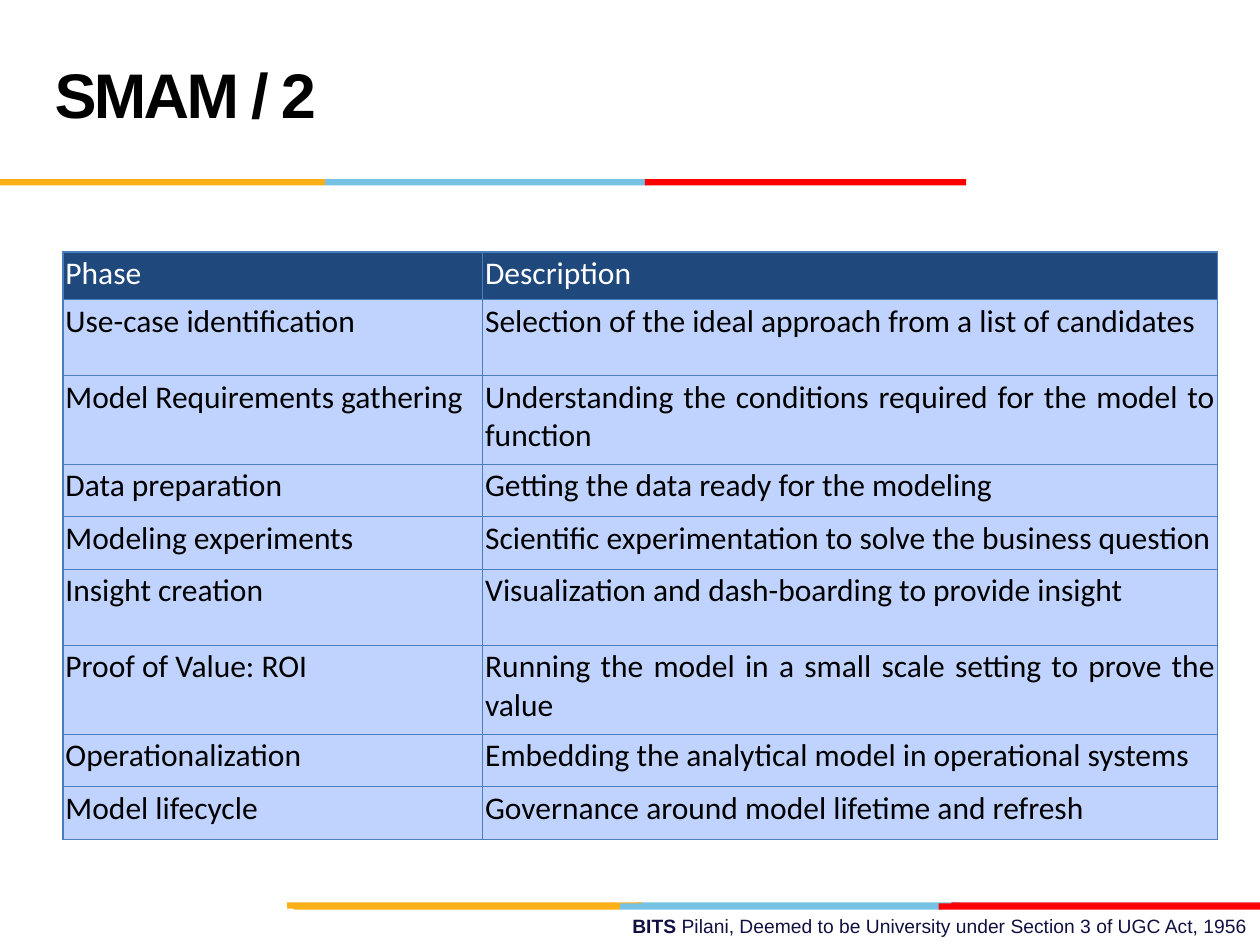
"""Build the SMAM phases slide with its table and colour bars."""
import lxml.etree
import pptx
import pptx.dml.color
import pptx.enum.shapes
import pptx.enum.text
import pptx.oxml.ns
import pptx.util
from pptx.util import Cm, Pt


def color(value):
    return pptx.dml.color.RGBColor.from_string(value)


def add_border(cell, side):
    properties = cell._tc.get_or_add_tcPr()
    line = lxml.etree.SubElement(properties, pptx.oxml.ns.qn(f"a:{side}"), w=str(Pt(0.75)))
    fill = lxml.etree.SubElement(line, pptx.oxml.ns.qn("a:solidFill"))
    lxml.etree.SubElement(fill, pptx.oxml.ns.qn("a:srgbClr"), val="4B7EBC")


ORANGE, BLUE, RED, CRIMSON = "FCB017", "76C2E5", "FF0000", "E31C24"
bars = [
    (12.85, 18.19, 6.48, BLUE),
    (19.18, 18.19, 6.22, CRIMSON),
    (5.79, 18.19, 7.16, ORANGE),
    (12.5, 18.21, 6.48, BLUE),
    (5.92, 18.21, 6.58, ORANGE),
    (18.92, 18.21, 6.48, RED),
    (6.55, 3.61, 6.48, BLUE),
    (0, 3.61, 6.55, ORANGE),
    (13, 3.61, 6.48, RED),
]
rows = [
    (0.96, "Phase", "Description"),
    (1.53, "Use-case identification", "Selection of the ideal approach from a list of candidates"),
    (1.79, "Model Requirements gathering", "Understanding the conditions required for the model to function"),
    (1.06, "Data preparation", "Getting the data ready for the modeling"),
    (1.06, "Modeling experiments", "Scientific experimentation to solve the business question"),
    (1.53, "Insight creation", "Visualization and dash-boarding to provide insight"),
    (1.79, "Proof of Value: ROI", "Running the model in a small scale setting to prove the value"),
    (1.06, "Operationalization", "Embedding the analytical model in operational systems"),
    (1.06, "Model lifecycle", "Governance around model lifetime and refresh"),
]

presentation = pptx.Presentation()
presentation.slide_width, presentation.slide_height = Cm(25.4), Cm(19.05)
slide = presentation.slides.add_slide(presentation.slide_layouts[6])

footer = slide.shapes.add_textbox(Cm(9.09), Cm(18.31), Cm(16.31), Cm(0.74))
footer.text_frame.word_wrap = True
footer.text_frame.auto_size = pptx.enum.text.MSO_AUTO_SIZE.SHAPE_TO_FIT_TEXT
paragraph = footer.text_frame.paragraphs[0]
paragraph.alignment = pptx.enum.text.PP_ALIGN.RIGHT
paragraph.font.name = "Arial"
paragraph.font.size = Pt(11)
paragraph.font.color.rgb = color("101141")
run = paragraph.add_run()
run.text = "BITS "
run.font.bold = True
paragraph.add_run().text = "Pilani, Deemed to be University under Section 3 of UGC Act, 1956"

for left, top, width, fill in bars:
    bar = slide.shapes.add_shape(
        pptx.enum.shapes.MSO_SHAPE.RECTANGLE, Cm(left), Cm(top), Cm(width), Cm(0.13))
    bar.shadow.inherit = False
    bar.fill.solid()
    bar.fill.fore_color.rgb = color(fill)
    bar.line.fill.background()

table = slide.shapes.add_table(
    len(rows), 2, Cm(1.27), Cm(5.08), Cm(23.28), Cm(11.84)).table
table.columns[0].width, table.columns[1].width = Cm(8.46), Cm(14.82)
for row_index, (height, *texts) in enumerate(rows):
    table.rows[row_index].height = Cm(height)
    header = row_index == 0
    for column_index, text in enumerate(texts):
        cell = table.cell(row_index, column_index)
        cell.margin_left = cell.margin_right = cell.margin_top = cell.margin_bottom = Cm(0.05)
        for side in ("lnL", "lnR", "lnT", "lnB"):
            add_border(cell, side)
        cell.fill.solid()
        cell.fill.fore_color.rgb = color("1F497D" if header else "C0D3FF")
        cell.text = text
        paragraph = cell.text_frame.paragraphs[0]
        paragraph.alignment = pptx.enum.text.PP_ALIGN.JUSTIFY
        paragraph.font.name = "Calibri"
        paragraph.font.size = Pt(18)
        paragraph.font.bold = False
        paragraph.font.color.rgb = color("FFFFFF" if header else "000000")
table.cell(len(rows) - 1, 0).text_frame.paragraphs[0].alignment = pptx.enum.text.PP_ALIGN.LEFT

title = slide.shapes.add_textbox(Cm(0.85), Cm(0.42), Cm(17.57), Cm(3.18))
title.text_frame.word_wrap = True
title.text_frame.vertical_anchor = pptx.enum.text.MSO_ANCHOR.MIDDLE
paragraph = title.text_frame.paragraphs[0]
paragraph.line_spacing = Pt(36)
paragraph.font.name = "Arial"
paragraph.font.size = Pt(36)
paragraph.font.bold = True
paragraph.font.color.rgb = color("000000")
run = paragraph.add_run()
run.text = "SMAM / 2"
run._r.get_or_add_rPr().set("spc", "-150")

presentation.save("out.pptx")
